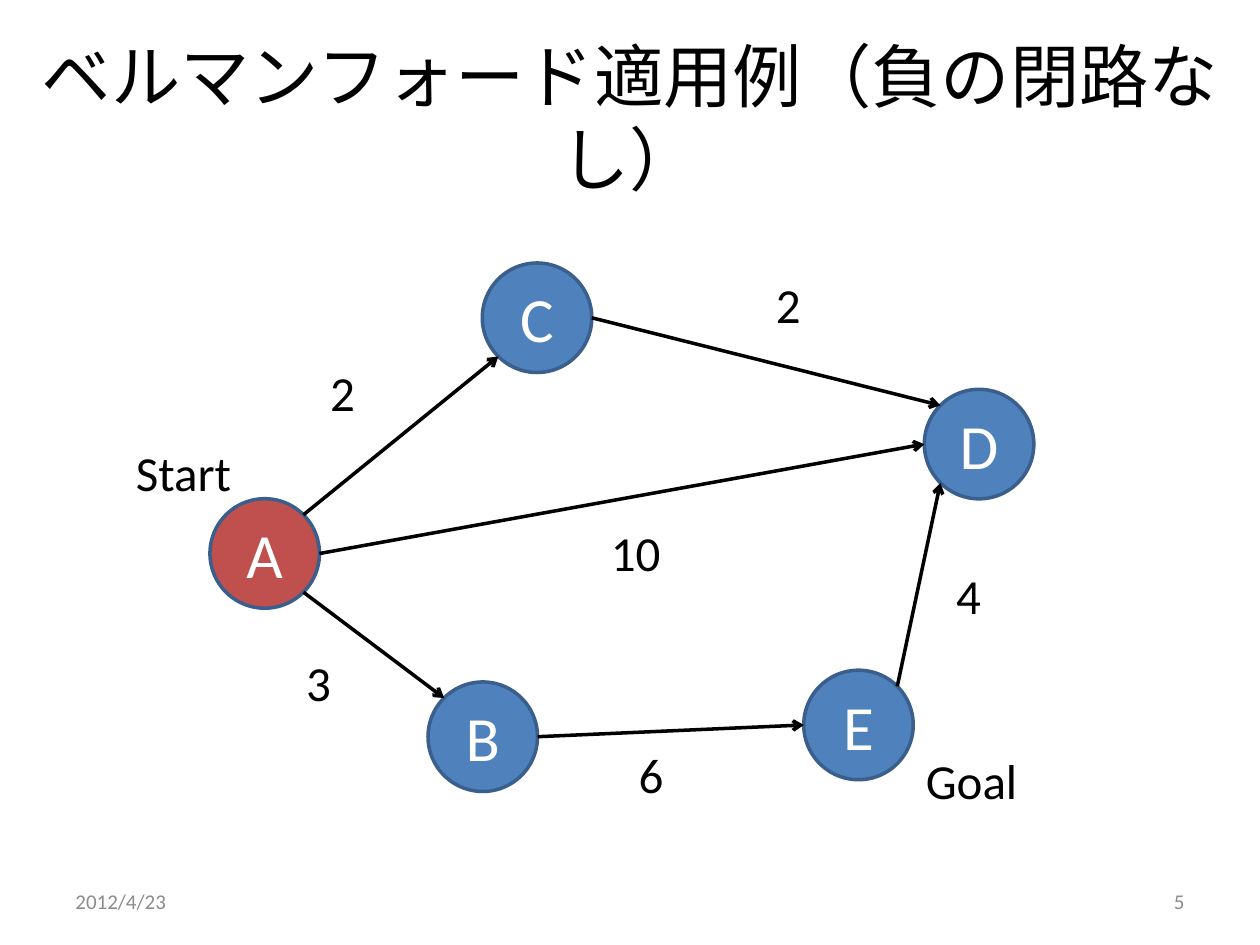
from math import cos, radians, sin

from lxml import etree
from pptx import Presentation
from pptx.dml.color import RGBColor
from pptx.enum.shapes import MSO_CONNECTOR, MSO_SHAPE
from pptx.enum.text import MSO_ANCHOR, MSO_AUTO_SIZE, PP_ALIGN
from pptx.oxml.ns import qn
from pptx.util import Pt

LEFT, CENTER, RIGHT = PP_ALIGN.LEFT, PP_ALIGN.CENTER, PP_ALIGN.RIGHT
TOP, MIDDLE = MSO_ANCHOR.TOP, MSO_ANCHOR.MIDDLE
NO_FIT = MSO_AUTO_SIZE.NONE
OVAL, STRAIGHT = MSO_SHAPE.OVAL, MSO_CONNECTOR.STRAIGHT
COLORS = {"text": "000000", "node": "4F81BD", "start": "C0504D",
          "outline": "3A5F8C", "letter": "FFFFFF", "footer": "8C8C8C"}
FONT = "Calibri"
DIAMETER = 62.6
NODES = {"A": (120, 285), "B": (244.6, 389.7), "C": (275.6, 150.3),
         "E": (459.3, 383), "D": (528.2, 222.5)}
EDGES = [("A", -45, "C", 135), ("C", 0, "D", 225), ("A", 0, "D", 180),
         ("A", 45, "B", 225), ("B", 0, "E", 180), ("E", -45, "D", 135)]
WEIGHTS = [("2", 181.5, 203.8), ("3", 167.8, 369.4), ("6", 357.8, 421.9),
           ("10", 342, 295.2), ("2", 436.3, 153.4), ("4", 539.3, 319.7)]
ROLES = [("Start", 70.6, 249.1), ("Goal", 522, 425.5)]


def rgb(name):
    """Return the named palette colour."""
    return RGBColor.from_string(COLORS[name])


def write(shape, text, size, color, align=LEFT, anchor=TOP):
    """Fill a shape with one formatted paragraph."""
    tf = shape.text_frame
    tf.word_wrap = True
    tf.auto_size = NO_FIT
    tf.vertical_anchor = anchor
    p = tf.paragraphs[0]
    p.text = text
    p.alignment = align
    p.font.name = FONT
    p.font.size = Pt(size)
    p.font.color.rgb = rgb(color)


def add_title(s, text, box):
    """Place the title placeholder in the box."""
    title = s.shapes.title
    title.left, title.top, title.width, title.height = map(Pt, box)
    write(title, text, 39.6, "text", CENTER, MIDDLE)


def add_text(s, text, box, size=28, color="text", align=LEFT, anchor=TOP):
    """Place a text box."""
    write(s.shapes.add_textbox(*map(Pt, box)), text, size, color, align, anchor)


def add_node(s, name, box):
    """Draw a lettered graph node."""
    sp = s.shapes.add_shape(OVAL, *map(Pt, box))
    sp.shadow.inherit = False
    sp.fill.solid()
    sp.fill.fore_color.rgb = rgb("start" if name == "A" else "node")
    sp.line.color.rgb = rgb("outline")
    sp.line.width = Pt(2)
    write(sp, name, 36, "letter", CENTER, MIDDLE)


def rim(name, angle):
    """Return the point on a node's rim at a clockwise angle from the right."""
    x, y = NODES[name]
    r, a = DIAMETER / 2, radians(angle)
    return Pt(x + r + r * cos(a)), Pt(y + r + r * sin(a))


def add_edge(s, start, end):
    """Draw an arrow between two points."""
    line = s.shapes.add_connector(STRAIGHT, *start, *end)
    line.line.color.rgb = rgb("text")
    line.line.width = Pt(2)
    etree.SubElement(line.line._get_or_add_ln(), qn("a:tailEnd"), type="arrow")
    etree.SubElement(line._element.spPr, qn("a:effectLst"))


def add_graph(s):
    """Draw the weighted graph with its labels."""
    for name, (x, y) in NODES.items():
        add_node(s, name, (x, y, DIAMETER, DIAMETER))
    for labels, width in ((WEIGHTS, 51.8), (ROLES, 98.6)):
        for text, x, y in labels:
            add_text(s, text, (x, y, width, 41))
    for tail, tail_angle, head, head_angle in EDGES:
        add_edge(s, rim(tail, tail_angle), rim(head, head_angle))


def add_footer(s, date, number, box):
    """Place the date and slide number at the two ends of the box."""
    x, y, w, h = box
    part = 168
    add_text(s, date, (x, y, part, h), 12, "footer", LEFT, MIDDLE)
    add_text(s, number, (x + w - part, y, part, h), 12, "footer", RIGHT, MIDDLE)


def main():
    """Build and save the slide."""
    prs = Presentation()
    prs.slide_width, prs.slide_height = Pt(720), Pt(540)
    s = prs.slides.add_slide(prs.slide_layouts[5])
    add_title(s, "ベルマンフォード適用例（負の閉路なし）", (8.6, 21.6, 702.8, 90))
    add_graph(s)
    add_footer(s, "2012/4/23", "5", (36, 500.5, 648, 28.8))
    prs.save("out.pptx")


if __name__ == "__main__":
    main()
